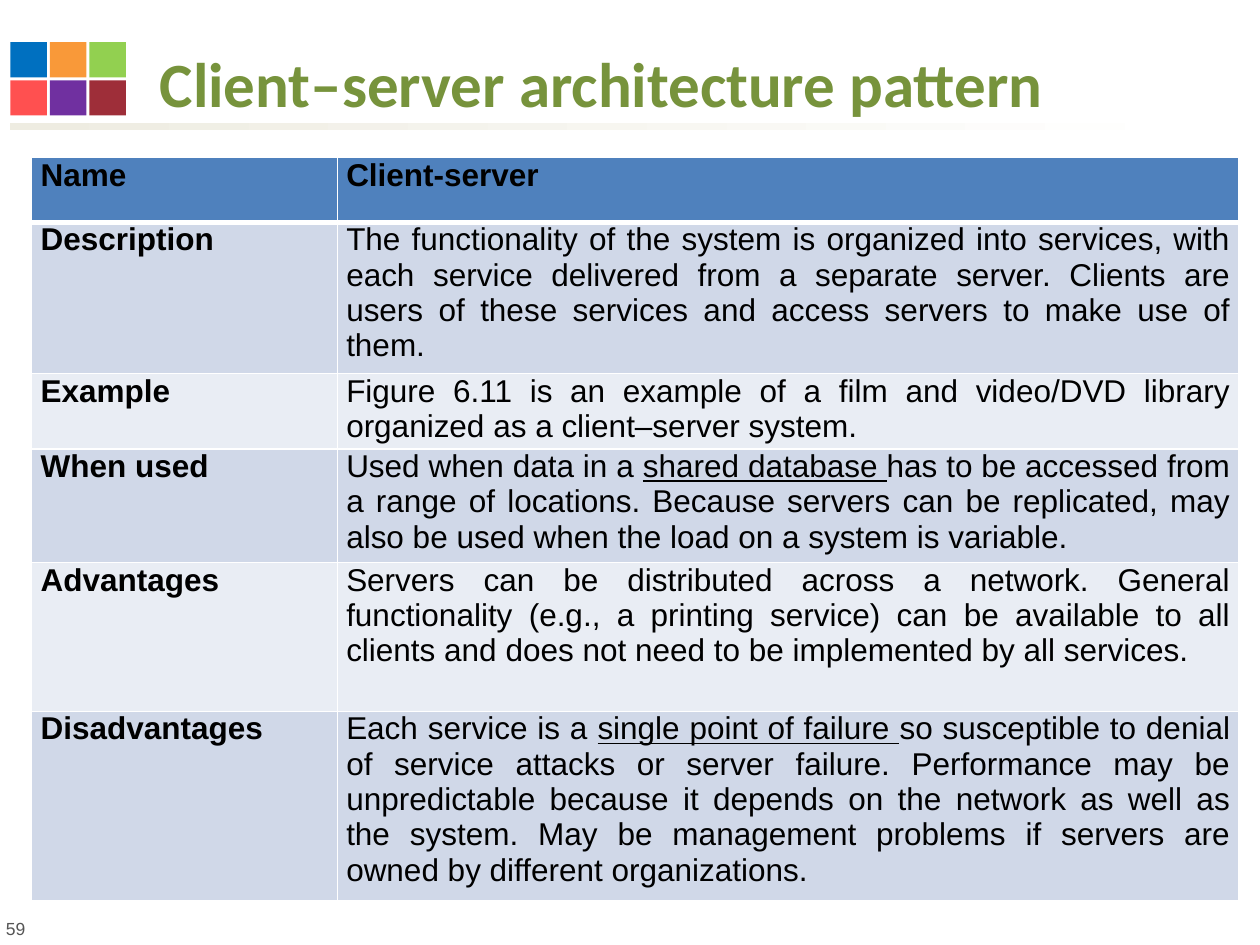
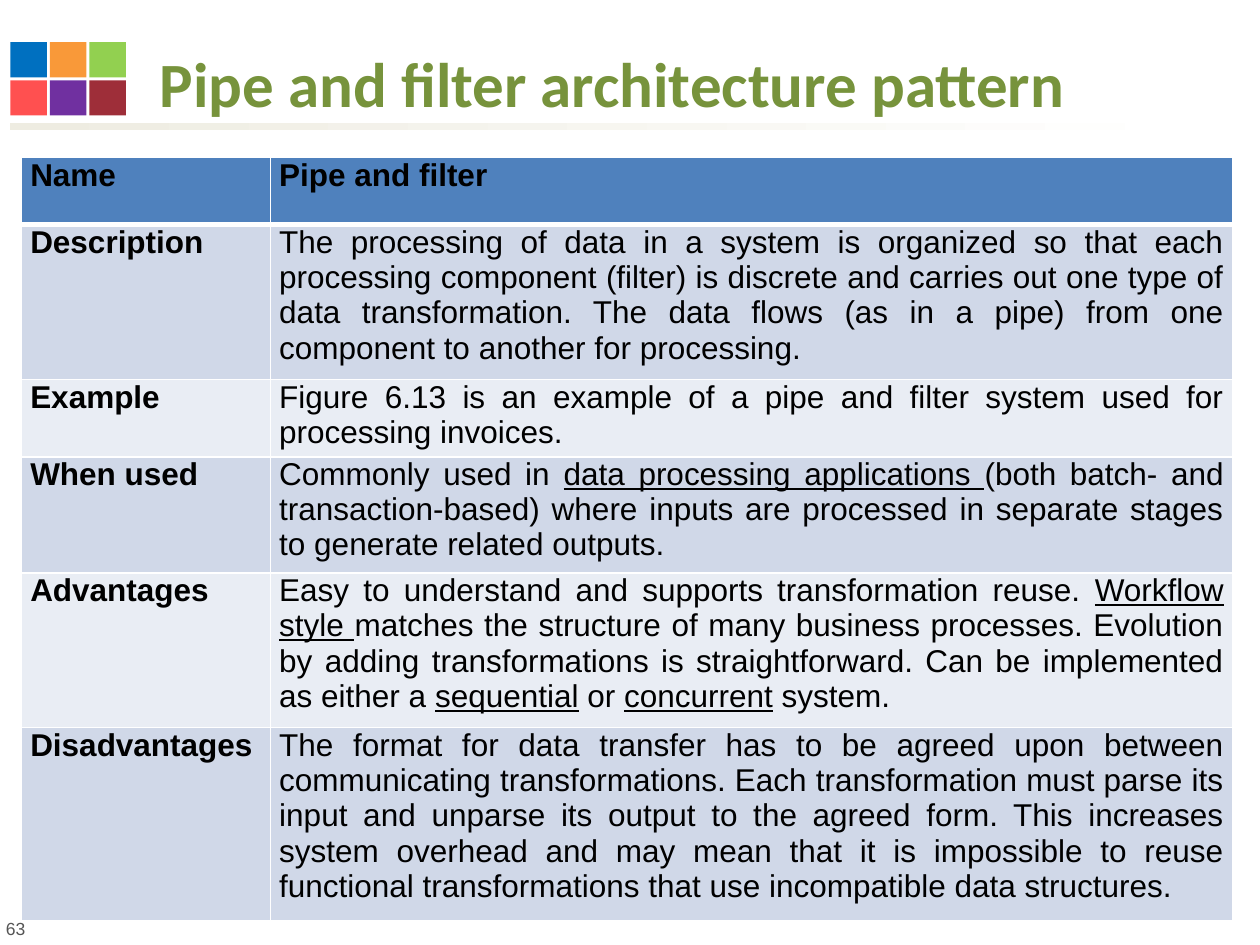
from lxml.etree import SubElement
from pptx import Presentation
from pptx.dml.color import RGBColor
from pptx.enum.shapes import MSO_SHAPE
from pptx.enum.text import MSO_ANCHOR, PP_ALIGN
from pptx.oxml.ns import qn
from pptx.util import Cm, Pt

TITLE_GREEN = "77933C"
FOOTER_GREY = "555555"
HEADER_BLUE = "4F81BD"
BANDS = ["D0D8E8", "E9EDF4"]
RULE_FADE = ["EEECE1", "FFFFFF"]
TILES = [["0070C0", "F99939", "92D050"],
         ["FF5050", "7030A0", "9E2E39"]]
LABELS = ["Name", "Description", "Example", "When used", "Advantages", "Disadvantages"]
LINES_PER_ROW = [4, 2, 3, 4, 5]

PATTERNS = [
    dict(
        title="Client–server architecture pattern", number="59",
        left=0.64, columns=[6.16, 18.18], header=1.3, line=0.75,
        entries=[
            "Client-server",
            "The functionality of the system is organized into services, with each service "
            "delivered from a separate server. Clients are users of these services and "
            "access servers to make use of them.",
            "Figure 6.11 is an example of a film and video/DVD library organized as a "
            "client–server system.",
            "Used when data in a _shared database _has to be accessed from a range of "
            "locations. Because servers can be replicated, may also be used when the load "
            "on a system is variable.",
            "Servers can be distributed across a network. General functionality (e.g., a "
            "printing service) can be available to all clients and does not need to be "
            "implemented by all services.",
            "Each service is a _single point of failure _so susceptible to denial of "
            "service attacks or server failure. Performance may be unpredictable because "
            "it depends on the network as well as the system. May be management problems "
            "if servers are owned by different organizations.",
        ]),
    dict(
        title="Pipe and filter architecture pattern", number="63",
        left=0.43, columns=[5.02, 19.4], header=1.35, line=0.78,
        entries=[
            "Pipe and filter",
            "The processing of data in a system is organized so that each processing "
            "component (filter) is discrete and carries out one type of data "
            "transformation. The data flows (as in a pipe) from one component to another "
            "for processing.",
            "Figure 6.13 is an example of a pipe and filter system used for processing "
            "invoices.",
            "Commonly used in _data processing applications _(both batch- and "
            "transaction-based) where inputs are processed in separate stages to generate "
            "related outputs.",
            "Easy to understand and supports transformation reuse. _Workflow style _matches "
            "the structure of many business processes. Evolution by adding transformations "
            "is straightforward. Can be implemented as either a _sequential_ or "
            "_concurrent_ system.",
            "The format for data transfer has to be agreed upon between communicating "
            "transformations. Each transformation must parse its input and unparse its "
            "output to the agreed form. This increases system overhead and may mean that "
            "it is impossible to reuse functional transformations that use incompatible "
            "data structures.",
        ]),
]


def rgb(value):
    return RGBColor.from_string(value)


def write(tf, text, size=18, font="Arial", color="000000", bold=False, align=PP_ALIGN.LEFT):
    """Fill a text frame; parts between underscores are underlined."""
    tf.word_wrap = True
    p = tf.paragraphs[0]
    p.alignment = align
    for i, part in enumerate(text.split("_")):
        r = p.add_run()
        r.text = part
        r.font.size, r.font.name, r.font.bold = Pt(size), font, bold
        r.font.color.rgb = rgb(color)
        if i % 2:
            r.font.underline = True


def add_text(s, text, left, top, width, height, anchor=MSO_ANCHOR.TOP, **style):
    tf = s.shapes.add_textbox(Cm(left), Cm(top), Cm(width), Cm(height)).text_frame
    tf.vertical_anchor = anchor
    write(tf, text, **style)


def add_rect(s, left, top, width, height):
    sp = s.shapes.add_shape(MSO_SHAPE.RECTANGLE, Cm(left), Cm(top), Cm(width), Cm(height))
    sp.shadow.inherit = False
    sp.line.fill.background()
    return sp


def add_tiles(s, left, top, width, height, gap=0.06):
    tile_w = (width - 2 * gap) / 3
    tile_h = (height - gap) / 2
    for row, colors in enumerate(TILES):
        for col, color in enumerate(colors):
            sp = add_rect(s, left + col * (tile_w + gap), top + row * (tile_h + gap),
                          tile_w, tile_h)
            sp.fill.solid()
            sp.fill.fore_color.rgb = rgb(color)


def add_fading_rule(s, left, top, width, height):
    fill = add_rect(s, left, top, width, height).fill
    fill.gradient()
    fill.gradient_angle = 0
    for stop, color, position in zip(fill.gradient_stops, RULE_FADE, (0, 1)):
        stop.color.rgb = rgb(color)
        stop.position = position


def set_borders(cell, top, bottom):
    """Draw white cell borders; top and bottom widths are in points."""
    tc_pr = cell._tc.get_or_add_tcPr()
    for side, width in (("L", 1), ("R", 1), ("T", top), ("B", bottom)):
        ln = SubElement(tc_pr, qn(f"a:ln{side}"), w=str(Pt(width)))
        SubElement(SubElement(ln, qn("a:solidFill")), qn("a:srgbClr"), val="FFFFFF")


def add_pattern_table(s, left, top, columns, heights, entries):
    table = s.shapes.add_table(len(heights), len(columns), Cm(left), Cm(top),
                               Cm(sum(columns)), Cm(sum(heights))).table
    for column, width in zip(table.columns, columns):
        column.width = Cm(width)
    for i, (height, texts) in enumerate(zip(heights, zip(LABELS, entries))):
        table.rows[i].height = Cm(height)
        for j, text in enumerate(texts):
            cell = table.cell(i, j)
            cell.margin_left = cell.margin_right = Cm(0.18)
            cell.margin_top = cell.margin_bottom = 0
            set_borders(cell, top=3 if i == 1 else 1, bottom=3 if i == 0 else 1)
            cell.fill.solid()
            cell.fill.fore_color.rgb = rgb(BANDS[(i - 1) % 2] if i else HEADER_BLUE)
            write(cell.text_frame, text, bold=i == 0 or j == 0, align=PP_ALIGN.JUSTIFY)


def add_frame(s, title, number):
    """Add the parts every slide shares."""
    add_fading_rule(s, 0.2, 2.49, 24.08, 0.13)
    add_text(s, number, -0.13, 18.39, 14.73, 0.69, size=10, color=FOOTER_GREY)
    add_tiles(s, 0.21, 0.85, 2.33, 1.48)
    add_text(s, title, 2.97, 0.81, 22.02, 1.73, anchor=MSO_ANCHOR.BOTTOM,
             size=36, font="Calibri", color=TITLE_GREEN, bold=True)


def add_pattern_slide(prs, title, number, left, columns, header, line, entries):
    s = prs.slides.add_slide(prs.slide_layouts[6])
    add_frame(s, title, number)
    heights = [header] + [line * n for n in LINES_PER_ROW]
    add_pattern_table(s, left, 3.18, columns, heights, entries)


def main():
    prs = Presentation()
    prs.slide_width, prs.slide_height = Cm(25.4), Cm(19.05)
    for pattern in PATTERNS:
        add_pattern_slide(prs, **pattern)
    prs.save("out.pptx")


if __name__ == "__main__":
    main()
